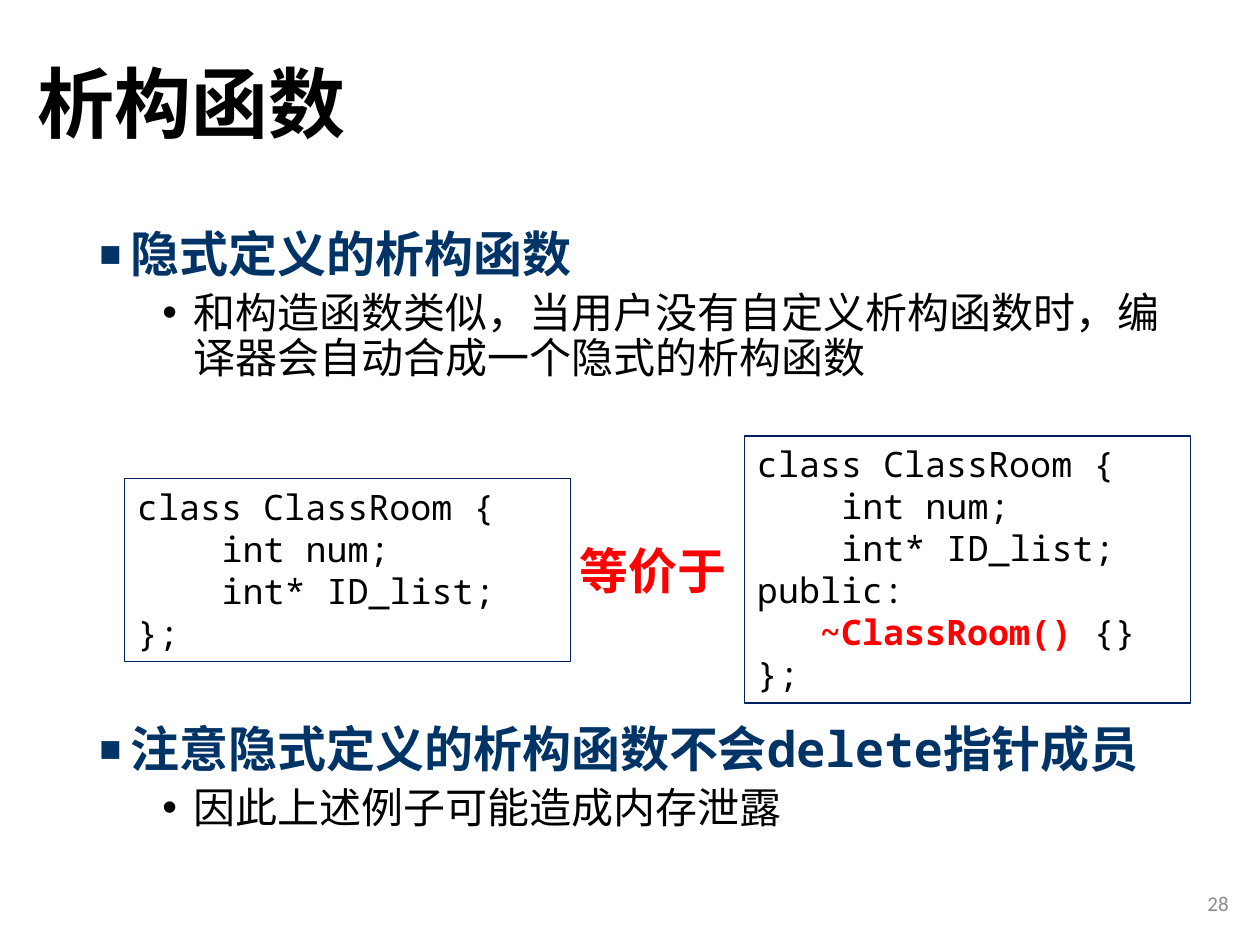
from lxml import etree
from pptx import Presentation, util as u
from pptx.dml.color import RGBColor
from pptx.enum import shapes, text
from pptx.oxml.ns import qn

BLACK = RGBColor(0, 0, 0)
RED = RGBColor(0xFF, 0, 0)
BLUE = RGBColor(0, 0x33, 0x66)
NAVY = RGBColor(0, 0x20, 0x60)
GRAY = RGBColor(0x8C, 0x8C, 0x8C)
HAN, MONO, SANS = "Noto Sans CJK SC", "Noto Sans Mono", "Calibri"

# Content
TITLE = "析构函数"
POINTS = [
    (1.78, "隐式定义的析构函数",
     "和构造函数类似，当用户没有自定义析构函数时，编译器会自动合成一个隐式的析构函数"),
    (5.71, "注意隐式定义的析构函数不会delete指针成员",
     "因此上述例子可能造成内存泄露"),
]
HEAD = [(0, "class ClassRoom {"), (0.67, "int num;"), (0.67, "int* ID_list;")]
TAIL = [(0, "};")]
CODES = [  # left, top, height, lines of (indent, text)
    (0.99, 3.8, 1.45, HEAD + TAIL),
    (5.91, 3.46, 2.12,
     HEAD + [(0, "public:"), (0.5, ("~ClassRoom() ", "{}"))] + TAIL),
]
CODE_W = 3.54


def write(para, words, size=20, font=MONO, color=BLACK, bold=False,
          align=text.PP_ALIGN.LEFT, space=None, before=0):
    para.alignment = align
    para.space_before = u.Pt(before)
    if space:
        para.line_spacing = space
    run = para.add_run()
    run.text = words
    face = run.font
    face.name, face.size, face.bold = font, u.Pt(size), bold
    face.color.rgb = color
    etree.SubElement(face._element, qn("a:ea"), typeface=HAN)


def indent(para, left, hang=0):
    props = para._p.get_or_add_pPr()
    props.set("marL", str(u.Inches(left)))
    props.set("indent", str(-u.Inches(hang)))
    return props


def bullet(para, left, mark, share):
    props = indent(para, left, 0.25)
    etree.SubElement(props, qn("a:buSzPct"), val=str(share * 1000))
    etree.SubElement(props, qn("a:buFont"), typeface="Arial")
    etree.SubElement(props, qn("a:buChar"), char=mark)


def box(slide, left, top, width, height, wrap=True):
    frame = slide.shapes.add_textbox(
        *map(u.Inches, (left, top, width, height))).text_frame
    frame.word_wrap = wrap
    return frame


def main():
    deck = Presentation()
    deck.slide_width, deck.slide_height = u.Inches(10), u.Inches(7.5)
    slide = deck.slides.add_slide(deck.slide_layouts[5])

    # Title
    title = slide.shapes.title
    title.left, title.top = u.Inches(0.2), u.Inches(0.13)
    title.width, title.height = u.Inches(8.62), u.Inches(1.45)
    title.text_frame.auto_size = text.MSO_AUTO_SIZE.NONE
    title.text_frame.vertical_anchor = text.MSO_ANCHOR.MIDDLE
    write(title.text_frame.paragraphs[0], TITLE, size=44, font=HAN,
          bold=True, space=0.9)

    # Points, each with its detail
    for top, point, detail in POINTS:
        frame = box(slide, 0.69, top, 8.8, 1.26)
        para = frame.paragraphs[0]
        write(para, point, size=28, color=BLUE, bold=True, space=0.9, before=10)
        bullet(para, 0.25, "■", 75)
        para = frame.add_paragraph()
        write(para, detail, size=24, space=0.9, before=5)
        bullet(para, 0.75, "•", 100)

    # Code boxes
    for left, top, height, lines in CODES:
        rect = slide.shapes.add_shape(
            shapes.MSO_SHAPE.RECTANGLE,
            *map(u.Inches, (left, top, CODE_W, height)))
        rect.shadow.inherit = False
        rect.fill.background()
        rect.line.color.rgb, rect.line.width = NAVY, u.Pt(0.75)
        frame = rect.text_frame
        frame.word_wrap = True
        frame.vertical_anchor = text.MSO_ANCHOR.TOP
        for row, (shift, words) in enumerate(lines):
            para = frame.add_paragraph() if row else frame.paragraphs[0]
            indent(para, shift)
            if isinstance(words, tuple):
                write(para, words[0], color=RED, bold=True)
                words = words[1]
            write(para, words)

    # Link between the code boxes
    frame = box(slide, 4.5, 4.24, 1.38, 0.57, wrap=False)
    write(frame.paragraphs[0], "等价于", size=28, font=SANS, color=RED, bold=True)

    # Slide number
    frame = box(slide, 7.6, 6.97, 2.25, 0.4)
    frame.vertical_anchor = text.MSO_ANCHOR.MIDDLE
    write(frame.paragraphs[0], "28", size=12, font=SANS, color=GRAY,
          align=text.PP_ALIGN.RIGHT)

    deck.save("out.pptx")


if __name__ == "__main__":
    main()
